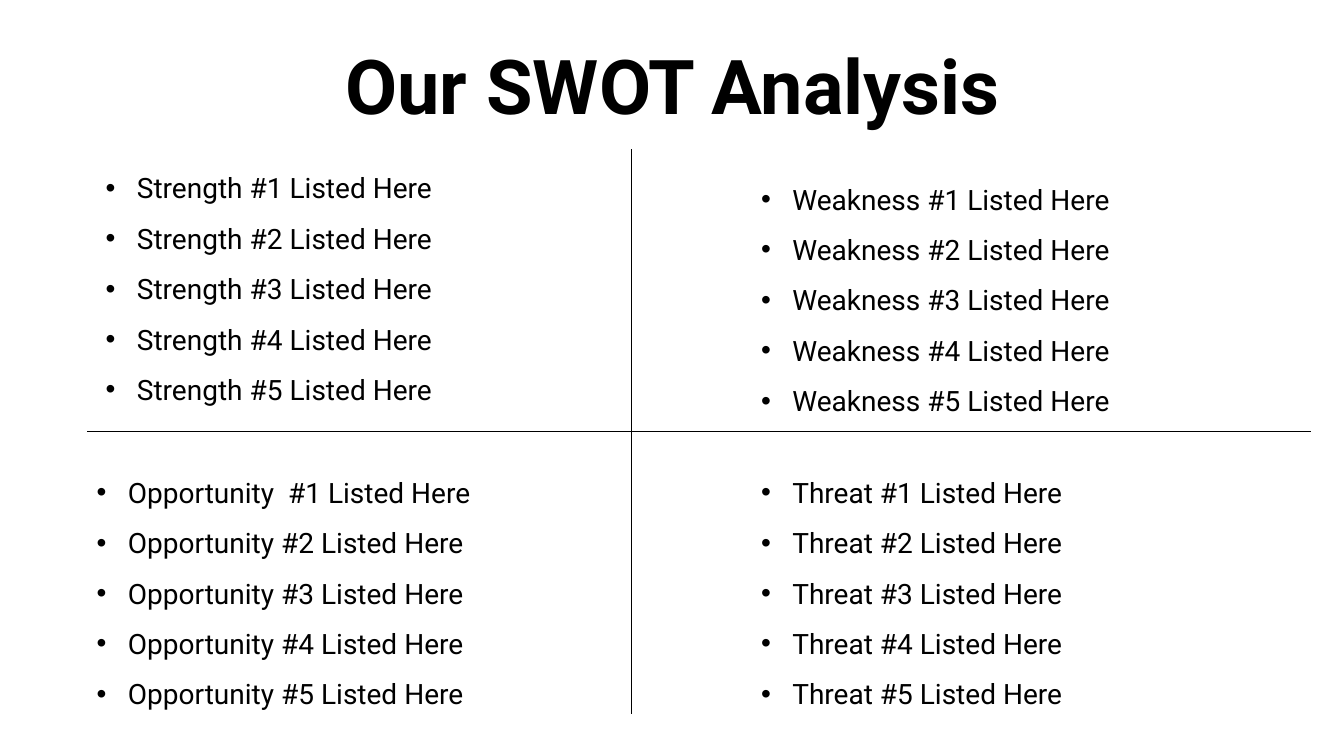
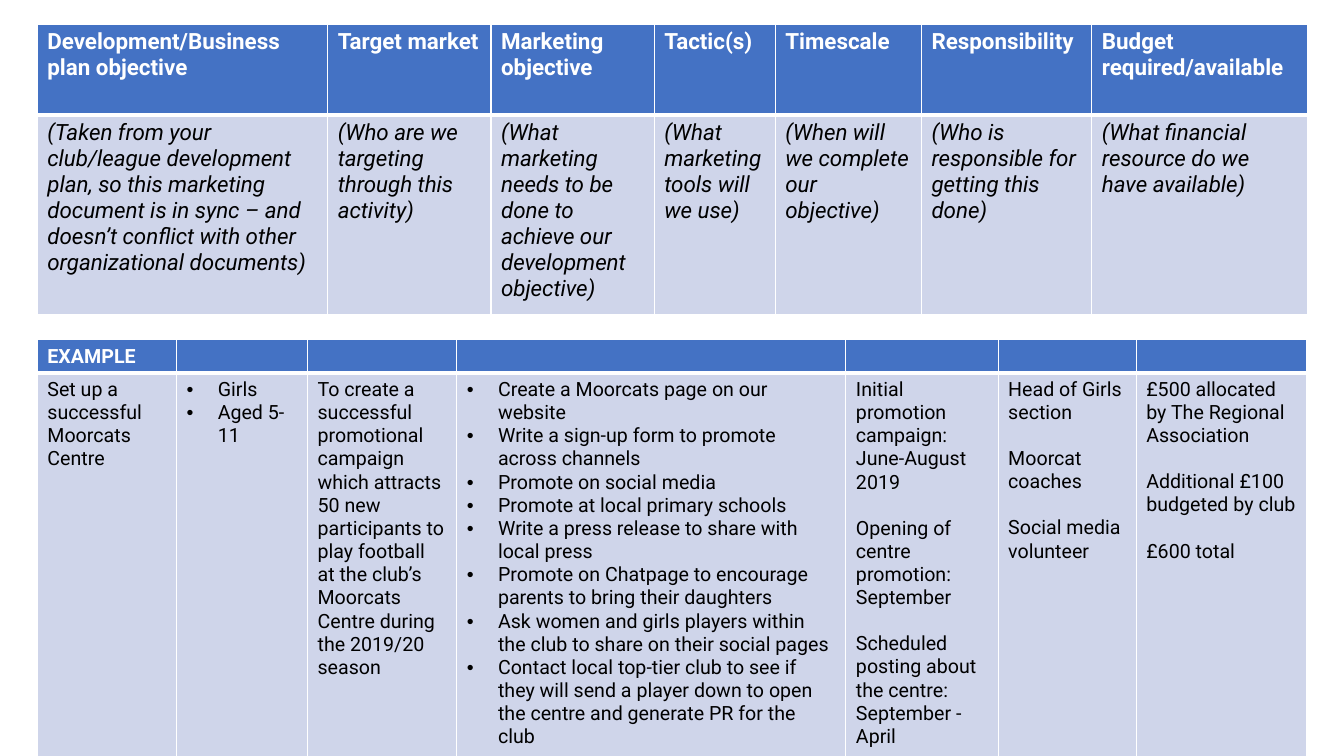
from lxml.etree import SubElement
from pptx import Presentation
from pptx.dml.color import RGBColor
from pptx.enum.shapes import MSO_CONNECTOR
from pptx.enum.text import MSO_ANCHOR, MSO_AUTO_SIZE, PP_ALIGN
from pptx.oxml import parse_xml
from pptx.oxml.ns import nsdecls, qn
from pptx.util import Inches, Pt

FONT = "Roboto"
BLACK, WHITE, BLUE, PALE = "000000", "FFFFFF", "4472C4", "CFD5EA"
INDENT = 0.31
LINE_GAP = 16.4

TITLE = "Our SWOT Analysis"
QUADRANTS = [
    ("Strength", 0.95, 1.48, 3.64),
    ("Opportunity", 0.86, 4.5, 4.79),
    ("Weakness", 7.45, 1.59, 4.79),
    ("Threat", 7.45, 4.5, 4.79),
]
AXES = [(6.26, 1.48, 6.26, 7.08), (13, 4.28, 0.86, 4.28)]

PLAN = {
    "top": 0.24,
    "columns": [2.88, 1.62, 1.62, 1.2, 1.45, 1.69, 2.14],
    "rows": [0.9, 1.98],
    "size": 16,
    "italic": True,
    "header": ["Development/Business plan objective", "Target market",
               "Marketing objective", "Tactic(s)", "Timescale",
               "Responsibility", "Budget required/available"],
    "body": [
        ["(Taken from your club/league development plan, so this marketing "
         "document is in sync – and doesn’t conflict with other "
         "organizational documents)"],
        ["(Who are we targeting through this activity)"],
        ["(What marketing needs to be done to achieve our development objective)"],
        ["(What marketing tools will we use)"],
        ["(When will we complete our objective)"],
        ["(Who is responsible for getting this done)"],
        ["(What financial resource do we have available)"],
    ],
    "bulleted": (),
}
EXAMPLE = {
    "top": 3.37,
    "columns": [1.38, 1.3, 1.48, 3.86, 1.51, 1.37, 1.69],
    "rows": [0.33, 3.84],
    "size": 14,
    "italic": False,
    "header": ["EXAMPLE"] + [""] * 6,
    "body": [
        ["Set up a successful Moorcats Centre"],
        ["Girls", "Aged 5-11"],
        ["To create a successful promotional campaign which attracts 50 new "
         "participants to play football at the club’s Moorcats Centre during "
         "the 2019/20 season"],
        ["Create a Moorcats page on our website",
         "Write a sign-up form to promote across channels",
         "Promote on social media",
         "Promote at local primary schools",
         "Write a press release to share with local press",
         "Promote on Chatpage to encourage parents to bring their daughters",
         "Ask women and girls players within the club to share on their social pages",
         "Contact local top-tier club to see if they will send a player down "
         "to open the centre and generate PR for the club"],
        ["Initial promotion campaign: June-August 2019",
         "Opening of centre promotion: September",
         "Scheduled posting about the centre: September - April"],
        ["Head of Girls section", "Moorcat coaches", "Social media volunteer"],
        ["£500 allocated by The Regional Association",
         "Additional £100 budgeted by club", "£600 total"],
    ],
    "bulleted": (1, 3),
}


def color(value):
    return RGBColor.from_string(value)


def style(paragraph, size, fill=BLACK, bold=False, italic=False):
    font = paragraph.font
    font.name, font.size = FONT, Pt(size)
    font.bold, font.italic = bold, italic
    font.color.rgb = color(fill)


def add_bullet(paragraph):
    properties = paragraph._p.get_or_add_pPr()
    properties.set("marL", str(Inches(INDENT)))
    properties.set("indent", str(-Inches(INDENT)))
    SubElement(properties, qn("a:buFont")).set("typeface", "Arial")
    SubElement(properties, qn("a:buChar")).set("char", "•")


def write(frame, lines, size, bullets=False, spacing=None, gap=0, **look):
    for index, line in enumerate(lines):
        paragraph = frame.add_paragraph() if index else frame.paragraphs[0]
        if line:
            paragraph.text = line
        else:
            SubElement(paragraph._p, qn("a:endParaRPr")).set("sz", str(size * 100))
        if bullets:
            add_bullet(paragraph)
        if spacing:
            paragraph.line_spacing = spacing
        if index and gap:
            paragraph.space_before = Pt(gap)
        style(paragraph, size, **look)


def add_title(page, text):
    title = page.shapes.title
    title.left, title.top = Inches(1.67), Inches(0.29)
    title.width, title.height = Inches(10), Inches(1.2)
    frame = title.text_frame
    frame.vertical_anchor = MSO_ANCHOR.MIDDLE
    write(frame, [text], 54, spacing=0.9, bold=True)
    frame.paragraphs[0].alignment = PP_ALIGN.CENTER


def add_quadrant(page, name, left, top, width):
    box = page.shapes.add_textbox(Inches(left), Inches(top), Inches(width), Inches(2.58))
    frame = box.text_frame
    frame.word_wrap = True
    frame.auto_size = MSO_AUTO_SIZE.SHAPE_TO_FIT_TEXT
    lines = [f"{name} #{number} Listed Here" for number in range(1, 6)]
    if name == "Opportunity":
        lines[0] = "Opportunity  #1 Listed Here"
    write(frame, lines, 20, bullets=True, spacing=1.5)


def add_axis(page, *ends):
    axis = page.shapes.add_connector(MSO_CONNECTOR.STRAIGHT, *map(Inches, ends))
    axis.line.color.rgb = color(BLACK)
    axis.line.width = Pt(0.5)
    SubElement(axis._element.spPr, qn("a:effectLst"))


def paint_cell(cell, fill, borders):
    cell.fill.solid()
    cell.fill.fore_color.rgb = color(fill)
    properties = cell._tc.get_or_add_tcPr()
    for index, (side, width) in enumerate(zip("LRTB", borders)):
        properties.insert(index, parse_xml(
            f'<a:ln{side} {nsdecls("a")} w="{Pt(width)}"><a:solidFill>'
            f'<a:srgbClr val="{WHITE}"/></a:solidFill></a:ln{side}>'))


def add_plan_table(page, plan):
    columns, rows = plan["columns"], plan["rows"]
    table = page.shapes.add_table(
        2, len(columns), Inches(0.37), Inches(plan["top"]),
        Inches(sum(columns)), Inches(sum(rows))).table
    table.horz_banding = False
    for row, height in zip(table.rows, rows):
        row.height = Inches(height)
    for index, width in enumerate(columns):
        table.columns[index].width = Inches(width)
        header, body = table.cell(0, index), table.cell(1, index)
        paint_cell(header, BLUE, (1, 1, 1, 3))
        paint_cell(body, PALE, (1, 1, 3, 1))
        write(header.text_frame, [plan["header"][index]], plan["size"],
              fill=WHITE, bold=True)
        bullets = index in plan["bulleted"]
        write(body.text_frame, plan["body"][index], plan["size"], bullets=bullets,
              gap=0 if bullets else LINE_GAP, italic=plan["italic"])


def main():
    deck = Presentation()
    deck.slide_width, deck.slide_height = Inches(13.33), Inches(7.5)

    swot = deck.slides.add_slide(deck.slide_layouts[5])
    add_title(swot, TITLE)
    for quadrant in QUADRANTS:
        add_quadrant(swot, *quadrant)
    for axis in AXES:
        add_axis(swot, *axis)

    planner = deck.slides.add_slide(deck.slide_layouts[6])
    for plan in (PLAN, EXAMPLE):
        add_plan_table(planner, plan)

    deck.save("out.pptx")


if __name__ == "__main__":
    main()
